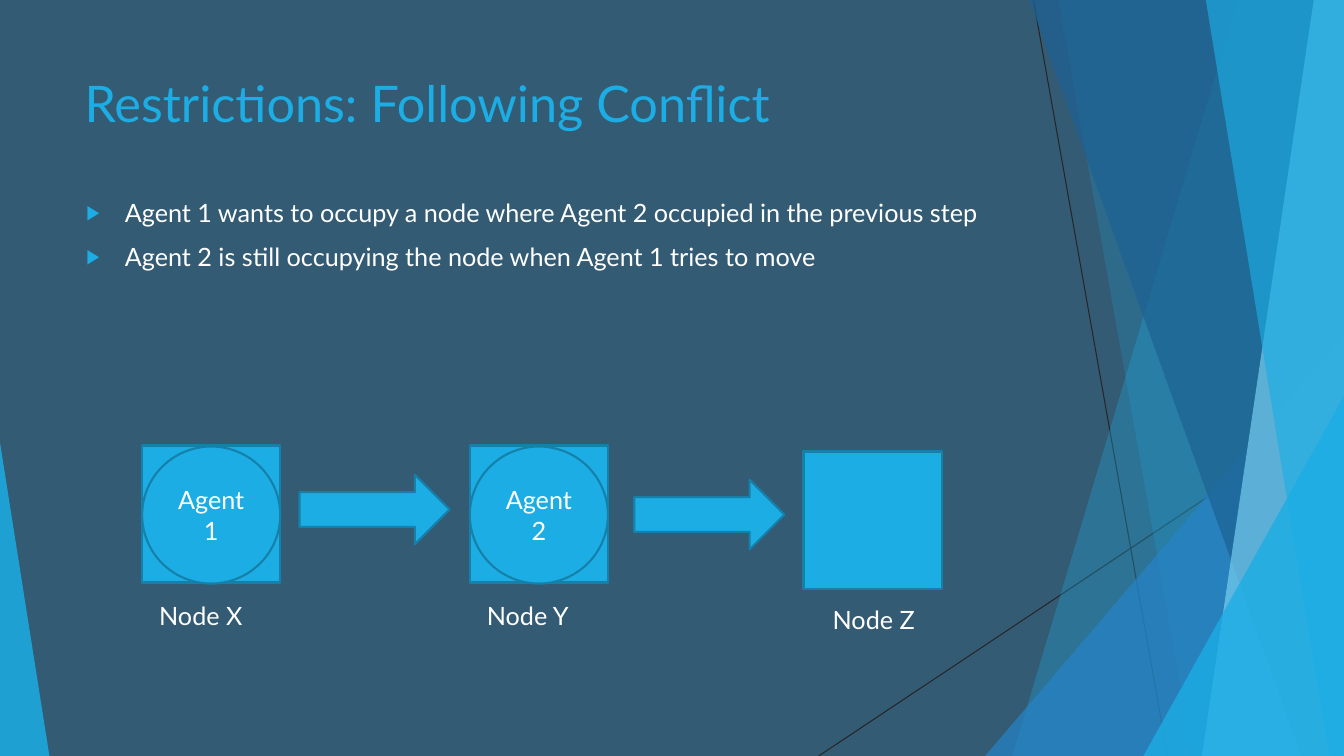
import pptx
import pptx.util
import pptx.dml.color
import pptx.enum.shapes
import pptx.enum.text
import pptx.oxml.ns
import lxml.etree

COLS, ROWS = 13.33, 7.5
SKY, EDGE, WHITE, DARK = "1CADE4", "1580A9", "FFFFFF", "262626"
KIND = pptx.enum.shapes.MSO_SHAPE
ALIGN = pptx.enum.text.PP_ALIGN
ANCHOR = pptx.enum.text.MSO_ANCHOR


def grid(*cells):
    """Turn columns or rows of the one-inch grid into lengths."""
    return [pptx.util.Inches(cell) for cell in cells]


def tint(part, code):
    """Colour a fill or a font with a hex string."""
    if hasattr(part, "solid"):
        part.solid()
        part = part.fore_color
    part.rgb = pptx.dml.color.RGBColor.from_string(code)


def child(parent, tag, **attrs):
    """Append a drawing element with its attributes."""
    name = pptx.oxml.ns.qn("a:" + tag)
    return lxml.etree.SubElement(parent, name, attrs)


def write(para, text, size, code):
    """Add one run of text to a paragraph."""
    run = para.add_run()
    run.text = text
    run.font.name = "Lato"
    run.font.size = pptx.util.Pt(size)
    tint(run.font.color, code)


def label(slide, box, lines, size=18, code=WHITE):
    """Add a wrapped text box with one paragraph a line."""
    frame = slide.shapes.add_textbox(*grid(*box)).text_frame
    frame.word_wrap = True
    for i, line in enumerate(lines):
        para = frame.paragraphs[0] if i == 0 else frame.add_paragraph()
        write(para, line, size, code)
    return frame


def block(slide, kind, box):
    """Add a filled and outlined preset shape."""
    shape = slide.shapes.add_shape(kind, *grid(*box))
    shape.shadow.inherit = False
    tint(shape.fill, SKY)
    tint(shape.line.fill, EDGE)
    shape.line.width = pptx.util.Pt(1.5)
    return shape


def glass(shape, code, alpha):
    """Give a shape a see-through fill and no outline."""
    shape.shadow.inherit = False
    tint(shape.fill, code)
    shape.line.fill.background()
    fill = shape._element.spPr.find(pptx.oxml.ns.qn("a:solidFill"))
    child(fill[0], "alpha", val=str(alpha * 1000))


def ray(slide, start, end):
    """Draw a thin dark line."""
    kind = pptx.enum.shapes.MSO_CONNECTOR.STRAIGHT
    line = slide.shapes.add_connector(kind, *grid(*start, *end))
    tint(line.line.fill, DARK)
    line.line.width = pptx.util.Pt(0.75)
    child(line._element.spPr, "effectLst")


def band(slide, top, foot, code, alpha):
    """Fill the area from a slanted edge to the right side."""
    points = [(top, 0), (COLS, 0), (COLS, ROWS), (foot, ROWS)]
    spots = [grid(*point) for point in points]
    path = slide.shapes.build_freeform(*spots[0])
    path.add_line_segments(spots[1:], close=True)
    glass(path.convert_to_shape(), code, alpha)


def wedge(slide, left, width, height, peak, code, alpha):
    """Stand a triangle on the bottom edge of the slide."""
    box = grid(left, ROWS - height, width, height)
    shape = slide.shapes.add_shape(KIND.ISOSCELES_TRIANGLE, *box)
    shape.adjustments[0] = peak
    glass(shape, code, alpha)


def decor(slide):
    """Draw the facets along both sides."""
    ray(slide, (10.25, 0), (11.58, ROWS))
    ray(slide, (COLS, 4.03), (8.12, ROWS))
    band(slide, 12.28, 10.04, SKY, 30)
    band(slide, 10.5, 11.83, SKY, 20)
    wedge(slide, 9.77, 3.56, 4.17, 1, "2683C6", 72)
    band(slide, 10.21, 12.91, "1D6294", 70)
    band(slide, 13.03, 11.92, "77CEEF", 70)
    band(slide, 11.96, 13.18, SKY, 65)
    wedge(slide, 11.34, 1.99, 3.57, 1, SKY, 80)
    wedge(slide, 0, 0.49, 3.11, 0, SKY, 85)


def points(slide, box, lines):
    """Add the bullet list."""
    frame = label(slide, box, lines)
    for i, para in enumerate(frame.paragraphs):
        props = para._p.get_or_add_pPr()
        indent = grid(0.38)[0]
        props.set("marL", str(indent))
        props.set("indent", str(-indent))
        child(child(props, "buClr"), "srgbClr", val=SKY)
        child(props, "buSzPct", val="80000")
        child(props, "buFont", typeface="Arial")
        child(props, "buChar", char="▶")
        if i:
            para.space_before = pptx.util.Pt(10)


def node(slide, x, y, name, shift, drop, agent=None):
    """Draw a node with its name and, if held, its agent."""
    wide, high = 1.37, 1.36
    block(slide, KIND.RECTANGLE, (x, y, wide, high))
    if agent:
        ring = KIND.FLOWCHART_CONNECTOR
        disc = block(slide, ring, (x, y + 0.01, wide, high))
        frame = disc.text_frame
        frame.word_wrap = True
        frame.vertical_anchor = ANCHOR.MIDDLE
        frame.paragraphs[0].alignment = ALIGN.CENTER
        write(frame.paragraphs[0], agent, 18, WHITE)
    label(slide, (x + shift, y + drop, 1.31, 0.4), [name])


def chain(slide):
    """Draw the row of nodes and the arrows between them."""
    for x, y in [(2.97, 4.71), (6.29, 4.76)]:
        block(slide, KIND.RIGHT_ARROW, (x, y, 1.49, 0.69))
    node(slide, 1.41, 4.42, "Node X", 0.07, 1.49, "Agent 1")
    node(slide, 4.66, 4.42, "Node Y", 0.07, 1.49, "Agent 2")
    node(slide, 7.97, 4.48, "Node Z", 0.19, 1.47)


def main():
    """Build and save the slide."""
    deck = pptx.Presentation()
    deck.slide_width, deck.slide_height = grid(COLS, ROWS)
    slide = deck.slides.add_slide(deck.slide_layouts[6])
    tint(slide.background.fill, "335B74")
    decor(slide)
    title = "Restrictions: Following Conflict"
    label(slide, (0.74, 0.67, 9.4, 1.44), [title], 36, SKY)
    points(slide, (0.76, 1.91, 9.4, 4.24), [
        "Agent 1 wants to occupy a node where Agent 2 occupied "
        "in the previous step",
        "Agent 2 is still occupying the node when Agent 1 tries to move",
    ])
    chain(slide)
    deck.save("out.pptx")


if __name__ == "__main__":
    main()
